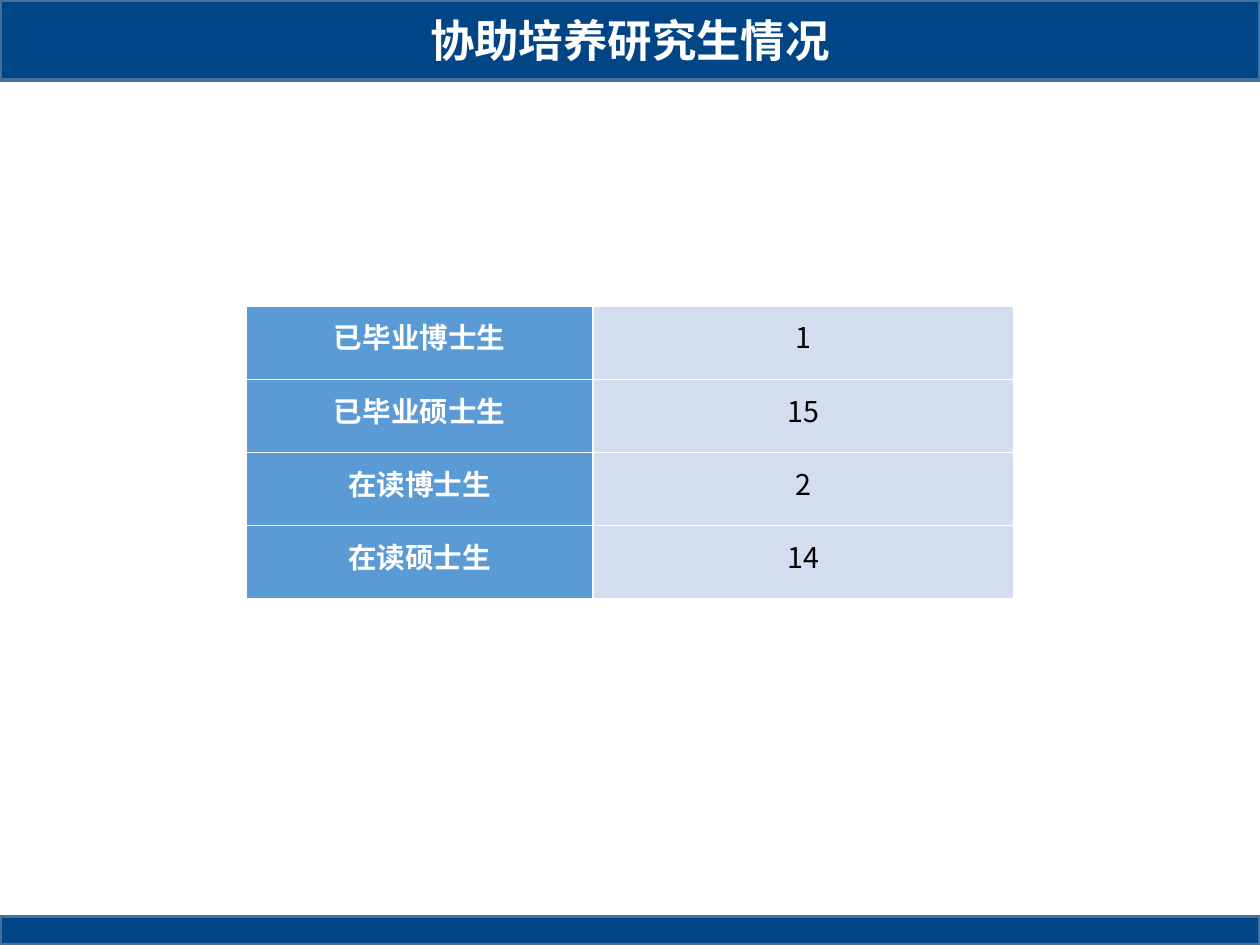
from lxml import etree
from pptx import Presentation
from pptx.dml.color import RGBColor
from pptx.enum.shapes import MSO_SHAPE
from pptx.enum.text import MSO_ANCHOR, PP_ALIGN
from pptx.oxml.ns import qn
from pptx.util import Cm, Inches, Pt

RECTANGLE = MSO_SHAPE.RECTANGLE
MIDDLE = MSO_ANCHOR.MIDDLE
CENTER = PP_ALIGN.CENTER

HEADING = "协助培养研究生情况"
STUDENTS = [("已毕业博士生", 1), ("已毕业硕士生", 15), ("在读博士生", 2), ("在读硕士生", 14)]

COLORS = {"band": "004586", "edge": "41719C", "label": "5B9BD5",
          "count": "D2DEEF", "white": "FFFFFF", "black": "000000"}
CJK = "Noto Sans CJK SC"
WIDTH, HEIGHT = Cm(28), Cm(21)
HEADER, FOOTER = Inches(0.7), Inches(0.25)
TABLE_TOP, ROW_HEIGHT = Inches(2.68), Inches(0.64)
COLUMNS = [
    {"width": Inches(3.03), "fill": "label", "color": "white", "bold": True},
    {"width": Inches(3.68), "fill": "count", "color": "black", "bold": False},
]


def rgb(name):
    return RGBColor.from_string(COLORS[name])


def write(frame, text, font_name, size, color, bold):
    paragraph = frame.paragraphs[0]
    paragraph.alignment = CENTER
    run = paragraph.add_run()
    run.text = text
    for key, value in {"name": font_name, "size": Pt(size), "bold": bold}.items():
        setattr(run.font, key, value)
    run.font.color.rgb = rgb(color)
    east_asian = etree.SubElement(run.font._element, qn("a:ea"))
    east_asian.set("typeface", CJK)
    return paragraph


def add_borders(cell, color, points):
    properties = cell._tc.get_or_add_tcPr()
    for index, side in enumerate(("lnL", "lnR", "lnT", "lnB")):
        line = etree.Element(qn(f"a:{side}"), w=str(Pt(points)))
        fill = etree.SubElement(line, qn("a:solidFill"))
        etree.SubElement(fill, qn("a:srgbClr"), val=COLORS[color])
        properties.insert(index, line)


deck = Presentation()
deck.slide_width, deck.slide_height = WIDTH, HEIGHT
slide = deck.slides.add_slide(deck.slide_layouts[5])

for top, height in ((0, HEADER), (HEIGHT - FOOTER, FOOTER)):
    band = slide.shapes.add_shape(RECTANGLE, 0, top, WIDTH, height)
    band.shadow.inherit = False
    band.fill.solid()
    band.fill.fore_color.rgb = rgb("band")
    band.line.color.rgb = rgb("edge")
    band.line.width = Pt(2)

heading = slide.shapes.title
slide.shapes._spTree.append(heading._element)
for key, value in {"left": 0, "top": 0, "width": WIDTH, "height": HEADER}.items():
    setattr(heading, key, value)
for side in ("left", "right", "top", "bottom"):
    setattr(heading.text_frame, f"margin_{side}", 0)
heading.text_frame.vertical_anchor = MIDDLE
write(heading.text_frame, HEADING, "Arial", 28, "white", True)

table_width = sum(column["width"] for column in COLUMNS)
students = slide.shapes.add_table(
    len(STUDENTS), len(COLUMNS), (WIDTH - table_width) // 2, TABLE_TOP,
    table_width, ROW_HEIGHT * len(STUDENTS)).table
for index, column in enumerate(COLUMNS):
    students.columns[index].width = column["width"]

CELL_FORMAT = {"margin_left": Inches(0.07), "margin_right": Inches(0.07),
               "margin_top": 0, "margin_bottom": 0, "vertical_anchor": MIDDLE}
for row, record in enumerate(STUDENTS):
    students.rows[row].height = ROW_HEIGHT
    for index, (value, column) in enumerate(zip(record, COLUMNS)):
        cell = students.cell(row, index)
        for key, setting in CELL_FORMAT.items():
            setattr(cell, key, setting)
        cell.fill.solid()
        cell.fill.fore_color.rgb = rgb(column["fill"])
        add_borders(cell, "white", 1)
        paragraph = write(cell.text_frame, str(value), CJK, 18, column["color"], column["bold"])
        paragraph.line_spacing = Pt(18)

deck.save("out.pptx")
